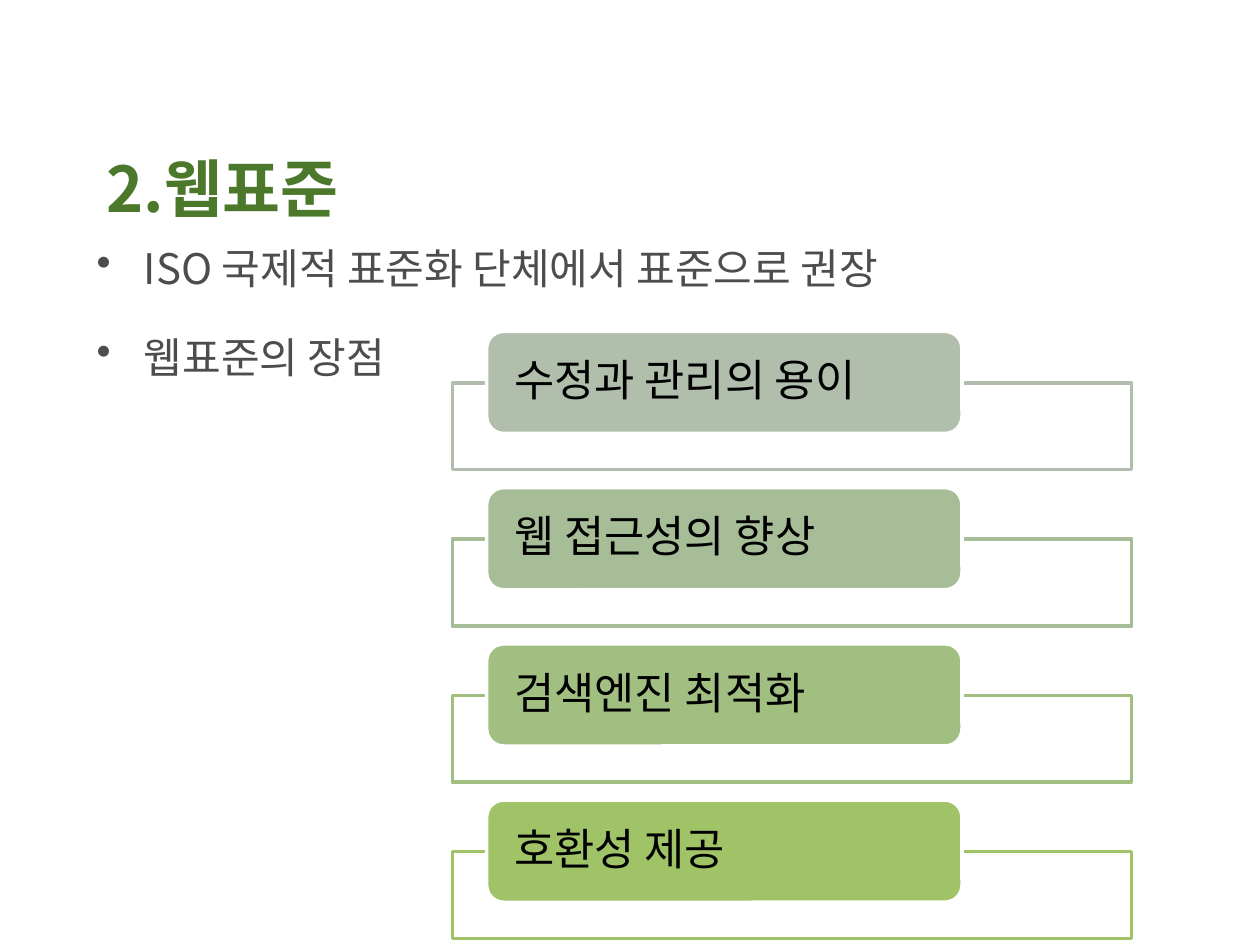
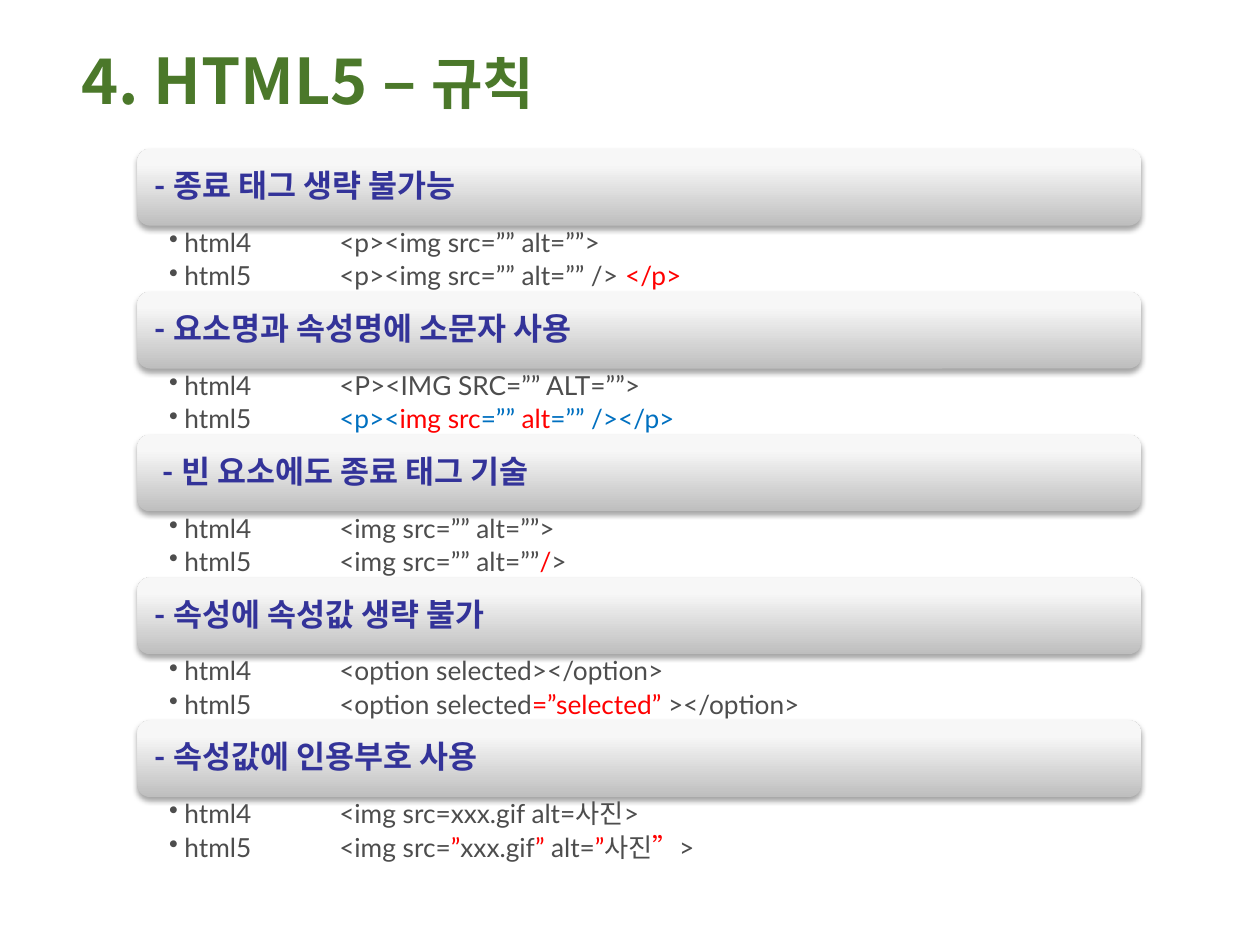
import pptx
import pptx.util
import pptx.dml.color
import pptx.enum.shapes
import pptx.enum.text
import pptx.oxml
import pptx.oxml.ns
from lxml import etree

Cm = pptx.util.Cm
Pt = pptx.util.Pt
RGBColor = pptx.dml.color.RGBColor
SHAPES = pptx.enum.shapes.MSO_SHAPE
ANCHOR = pptx.enum.text.MSO_ANCHOR
ALIGN = pptx.enum.text.PP_ALIGN
qn = pptx.oxml.ns.qn

GREEN = RGBColor(0x4B, 0x78, 0x2A)
GREY = RGBColor(0x4D, 0x4D, 0x4D)
BLACK = RGBColor(0, 0, 0)
WHITE = RGBColor(0xFF, 0xFF, 0xFF)
NAVY = RGBColor(0x33, 0x33, 0x99)
RED = RGBColor(0xFF, 0, 0)
BLUE = RGBColor(0x00, 0x70, 0xC0)
BAR_BOTTOM = RGBColor(0xBE, 0xBE, 0xBE)
BAR_TOP = RGBColor(0xF7, 0xF7, 0xF7)

KOREAN = "Noto Sans CJK KR"
LATIN = "Lato"

ADVANTAGES = [
    ("수정과 관리의 용이", RGBColor(0xB1, 0xBE, 0xAC)),
    ("웹 접근성의 향상", RGBColor(0xA6, 0xBD, 0x97)),
    ("검색엔진 최적화", RGBColor(0xA0, 0xBF, 0x81)),
    ("호환성 제공", RGBColor(0xA0, 0xC3, 0x68)),
]

RULES = [
    ("- 종료 태그 생략 불가능", 0,
     [("<p><img src=”” alt=””>", GREY)],
     [("<p><img src=”” alt=”” /> ", GREY), ("</p>", RED)]),
    ("- 요소명과 속성명에 소문자 사용", 0,
     [("<P><IMG SRC=”” ALT=””>", GREY)],
     [("<p><", BLUE), ("img src", RED), ("=”” ", BLUE), ("alt", RED),
      ("=”” /></p>", BLUE)]),
    ("- 빈 요소에도 종료 태그 기술", 0.16,
     [("<img src=”” alt=””>", GREY)],
     [("<img src=”” alt=””", GREY), ("/", RED), (">", GREY)]),
    ("- 속성에 속성값 생략 불가", 0,
     [("<option selected></option>", GREY)],
     [("<option selected", GREY), ("=”selected” ", RED), ("></option>", GREY)]),
    ("- 속성값에 인용부호 사용", 0,
     [("<img src=xxx.gif alt=사진>", GREY)],
     [("<img src=", GREY), ("”", RED), ("xxx.gif", GREY), ("” ", RED),
      ("alt=", GREY), ("”", RED), ("사진", GREY), ("”", RED), (">", GREY)]),
]


def add_span(para, text, size, colour, font=LATIN, bold=False):
    span = para.add_run()
    span.text = text
    span.font.size = Pt(size)
    span.font.bold = bold
    span.font.color.rgb = colour
    span.font.name = font
    east_asian = etree.SubElement(span.font._element, qn("a:ea"))
    east_asian.set("typeface", KOREAN)


def set_frame(frame, insets, anchor):
    frame.word_wrap = True
    frame.vertical_anchor = anchor
    left, top, right, bottom = insets
    frame.margin_left, frame.margin_top = Cm(left), Cm(top)
    frame.margin_right, frame.margin_bottom = Cm(right), Cm(bottom)


def add_text_box(page, box, insets=(0.25, 0.13, 0.25, 0.13), anchor=ANCHOR.TOP):
    frame = page.shapes.add_textbox(*map(Cm, box)).text_frame
    set_frame(frame, insets, anchor)
    return frame


def add_panel(page, kind, box):
    panel = page.shapes.add_shape(kind, *map(Cm, box))
    panel.shadow.inherit = False
    return panel


def add_outlined_panel(page, kind, box, fill, line):
    panel = add_panel(page, kind, box)
    panel.fill.solid()
    panel.fill.fore_color.rgb = fill
    panel.line.color.rgb = line
    panel.line.width = Pt(2)
    return panel


def set_bullet(para, indent, tab=None):
    properties = para._p.get_or_add_pPr()
    properties.set("marL", str(Cm(indent)))
    properties.set("indent", str(-Cm(indent)))
    etree.SubElement(properties, qn("a:buChar")).set("char", "•")
    if tab:
        tabs = etree.SubElement(properties, qn("a:tabLst"))
        stop = etree.SubElement(tabs, qn("a:tab"))
        stop.set("pos", str(Cm(tab)))
        stop.set("algn", "l")


def add_title(page, left, top, parts):
    frame = add_text_box(page, (left, top, 19.69, 1.6), anchor=ANCHOR.MIDDLE)
    for text, size in parts:
        add_span(frame.paragraphs[0], text, size, GREEN, KOREAN, True)


def add_bullet_list(page, box, lines):
    frame = add_text_box(page, box)
    for index, line in enumerate(lines):
        para = frame.add_paragraph() if index else frame.paragraphs[0]
        set_bullet(para, 0.95)
        para.line_spacing = 0.8
        if index:
            para.space_before = Pt(28)
        add_span(para, line, 24, GREY, KOREAN)


def add_advantage(page, box, label, colour):
    left, top, width, height = box
    add_outlined_panel(page, SHAPES.RECTANGLE,
                       (left, top + 1.04, width, height - 1.04), WHITE, colour)
    tab = add_outlined_panel(page, SHAPES.ROUNDED_RECTANGLE,
                             (left + 0.69, top, width * 0.7, 2.06), colour, WHITE)
    set_frame(tab.text_frame, (0.46, 0, 0.46, 0), ANCHOR.MIDDLE)
    para = tab.text_frame.paragraphs[0]
    para.alignment = ALIGN.LEFT
    para.line_spacing = 0.9
    add_span(para, label, 25, BLACK)


def add_soft_shadow(panel):
    effects = panel._element.spPr.find(qn("a:effectLst"))
    shadow = etree.SubElement(effects, qn("a:outerShdw"))
    for name, value in (("blurRad", Pt(3.1)), ("dist", Pt(1.8)),
                        ("dir", 5400000), ("rotWithShape", 0)):
        shadow.set(name, str(value))
    colour = etree.SubElement(shadow, qn("a:srgbClr"))
    colour.set("val", "000000")
    etree.SubElement(colour, qn("a:alpha")).set("val", "35000")


def add_rule_bar(page, box, heading, indent):
    bar = add_panel(page, SHAPES.ROUNDED_RECTANGLE, box)
    bar.line.fill.background()
    bar.fill.gradient()
    bar.fill.gradient_angle = 90
    for stop, position, colour in zip(bar.fill.gradient_stops, (0, 0.8),
                                      (BAR_BOTTOM, BAR_TOP)):
        stop.position = position
        stop.color.rgb = colour
    add_soft_shadow(bar)
    set_frame(bar.text_frame, (0.26 + indent, 0.2, 0.26, 0.2), ANCHOR.MIDDLE)
    para = bar.text_frame.paragraphs[0]
    para.alignment = ALIGN.LEFT
    para.line_spacing = 0.9
    add_span(para, heading, 18, NAVY, bold=True)


def add_rule(page, box, heading, indent, old_code, new_code):
    left, top, width, height = box
    bar_height = 1.55
    add_rule_bar(page, (left, top, width, bar_height), heading, indent)
    frame = add_text_box(page, (left, top + bar_height, width, height - bar_height),
                         (0.64, 0.08, 0.38, 0.08))
    versions = (("html4", old_code), ("html5", new_code))
    for index, (version, code) in enumerate(versions):
        para = frame.add_paragraph() if index else frame.paragraphs[0]
        set_bullet(para, 0.31, tab=3.43)
        para.line_spacing = 0.9
        para.space_after = Pt(3)
        add_span(para, version + "\t", 15, GREY)
        for text, colour in code:
            add_span(para, text, 15, colour)


def build_standards_page(page):
    add_title(page, 1.9, 2.97, [("2.웹표준", 36)])
    add_bullet_list(page, (1.7, 4.95, 22.12, 10.72),
                    ["ISO 국제적 표준화 단체에서 표준으로 권장", "웹표준의 장점"])
    for index, (label, colour) in enumerate(ADVANTAGES):
        add_advantage(page, (9.12, 6.68 + 3.15 * index, 13.69, 2.79), label, colour)


def build_rules_page(page):
    add_title(page, 1.4, 0.79, [("4. HTML5 – ", 36), ("규칙", 32)])
    for index, rule in enumerate(RULES):
        add_rule(page, (2.77, 3 + 2.88 * index, 20.24, 2.88), *rule)


def main():
    deck = pptx.Presentation()
    deck.slide_width, deck.slide_height = Cm(25.4), Cm(19.05)
    for build in (build_standards_page, build_rules_page):
        build(deck.slides.add_slide(deck.slide_layouts[6]))
    deck.save("out.pptx")


if __name__ == "__main__":
    main()
